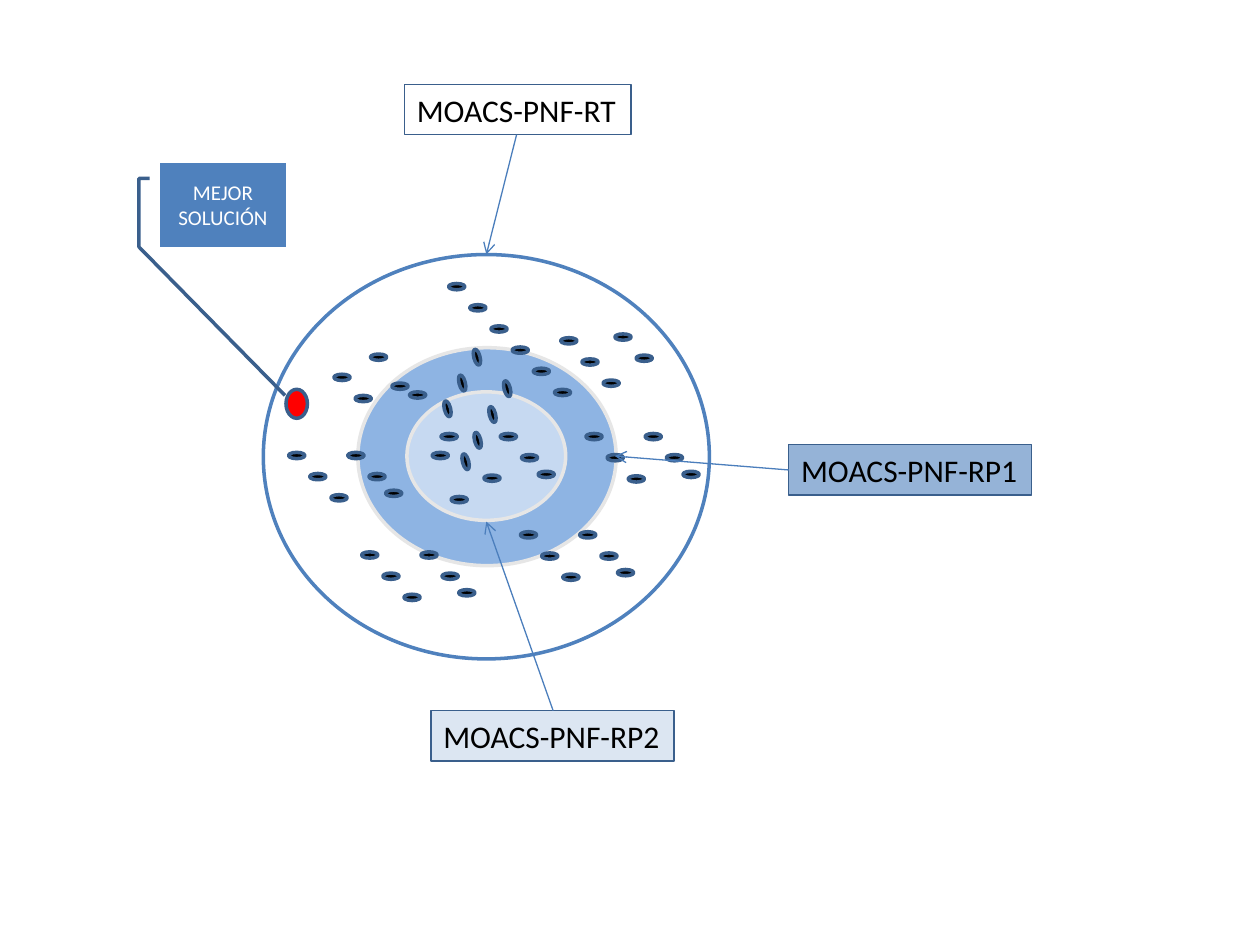
from dataclasses import dataclass
from typing import Optional

import pptx
import pptx.dml.color
import pptx.enum.shapes
import pptx.enum.text
import pptx.oxml.ns
import pptx.util
from lxml import etree
from pptx.util import Inches

SHAPES = pptx.enum.shapes.MSO_SHAPE
COLORS = {
    "white": "FFFFFF", "black": "000000", "red": "FF0000",
    "blue": "4F81BD", "outline": "3A5F8C", "arrow": "4B7EBC",
    "ring": "8EB4E3", "core": "C6D9F1", "ring edge": "E6E6E6",
    "RP1": "95B3D7", "RP2": "DCE6F2",
}
FONT = "Calibri"
ANT_SIZE = (0.13, 0.05)
TILT = 75.2


@dataclass
class Figure:
    left: float
    top: float
    width: float
    height: float
    fill: Optional[str]
    line: str = "outline"
    weight: float = 2
    kind: SHAPES = SHAPES.OVAL
    rotation: float = 0


@dataclass
class Trail:
    """A straight row of ants: first position, count and step."""
    left: float
    top: float
    count: int = 1
    step: tuple[float, float] = (0.168, 0.168)
    rotation: float = 0


@dataclass
class Label:
    text: str
    figure: Figure


@dataclass
class Arrow:
    start: tuple[float, float]
    end: tuple[float, float]


REGIONS = [
    Figure(2.09, 2.02, 3.54, 3.21, "white", "blue"),
    Figure(2.84, 2.76, 2.05, 1.73, "ring", "ring edge"),
    Figure(3.23, 3.11, 1.26, 1.02, "core", "ring edge"),
]
BEST_SOLUTION = Figure(2.27, 3.09, 0.17, 0.23, "red")
DOWN_LEFT = (-0.117, 0.205)
TRAILS = [
    Trail(3.56, 2.25, 6),
    Trail(4.45, 2.68, 3),
    Trail(3.72, 2.81, 3, DOWN_LEFT, TILT),
    Trail(3.96, 3.06, 3, DOWN_LEFT, TILT),
    Trail(3.63, 3.64, rotation=TILT),
    Trail(4.88, 2.65, 2),
    Trail(3.5, 3.44),
    Trail(3.43, 3.59),
    Trail(3.58, 3.94),
    Trail(3.84, 3.77),
    Trail(3.97, 3.44, 2),
    Trail(4.27, 3.74),
    Trail(2.65, 2.97, 2),
    Trail(2.94, 2.81),
    Trail(3.11, 3.04),
    Trail(3.25, 3.11),
]
COLONIES = [(4.65, 3.44), (4.13, 4.22), (2.87, 4.38), (2.29, 3.59)]
CALLOUT = Label("MEJOR SOLUCIÓN", Figure(
    1.27, 1.29, 1, 0.67, "blue", kind=SHAPES.LINE_CALLOUT_3_NO_BORDER))
CALLOUT_POINTS = [0.188, -0.083, 0.188, -0.167, 1, -0.167, 2.758, 0.992]


def region_label(text: str, left: float, top: float, width: float,
                 fill: Optional[str]) -> Label:
    return Label(text, Figure(left, top, width, 0.4, fill, weight=0.75,
                              kind=SHAPES.RECTANGLE))


LABELS = [
    region_label("MOACS-PNF-RT", 3.21, 0.67, 1.8, None),
    region_label("MOACS-PNF-RP1", 6.26, 3.53, 1.93, "RP1"),
    region_label("MOACS-PNF-RP2", 3.42, 5.64, 1.93, "RP2"),
]
ARROWS = [
    Arrow((6.26, 3.73), (4.88, 3.62)),
    Arrow((4.39, 5.64), (3.86, 4.14)),
    Arrow((4.1, 1.07), (3.86, 2.02)),
]


def color(name: str) -> pptx.dml.color.RGBColor:
    return pptx.dml.color.RGBColor.from_string(COLORS[name])


def draw_figure(slide, figure: Figure):
    shape = slide.shapes.add_shape(
        figure.kind, Inches(figure.left), Inches(figure.top),
        Inches(figure.width), Inches(figure.height))
    shape.shadow.inherit = False
    shape.rotation = figure.rotation
    if figure.fill:
        shape.fill.solid()
        shape.fill.fore_color.rgb = color(figure.fill)
    else:
        shape.fill.background()
    shape.line.color.rgb = color(figure.line)
    shape.line.width = pptx.util.Pt(figure.weight)
    return shape


def draw_trail(slide, trail: Trail) -> None:
    for index in range(trail.count):
        draw_figure(slide, Figure(
            trail.left + index * trail.step[0],
            trail.top + index * trail.step[1],
            *ANT_SIZE, "black", rotation=trail.rotation))


def draw_colony(slide, left: float, top: float) -> None:
    """Draw six ants: a row of three, a row of two and a last one close by."""
    draw_trail(slide, Trail(left, top, 3))
    draw_trail(slide, Trail(left + 0.47, top, 2))
    draw_trail(slide, Trail(left + 0.77, top + 0.3))


def write_text(shape, text: str, size: float, font_color: str,
               alignment) -> None:
    para = shape.text_frame.paragraphs[0]
    para.text = text
    para.alignment = alignment
    para.font.name = FONT
    para.font.size = pptx.util.Pt(size)
    para.font.color.rgb = color(font_color)


def draw_callout(slide) -> None:
    shape = draw_figure(slide, CALLOUT.figure)
    for index, value in enumerate(CALLOUT_POINTS):
        shape.adjustments[index] = value
    shape.text_frame.word_wrap = True
    write_text(shape, CALLOUT.text, 12, "white",
               pptx.enum.text.PP_ALIGN.CENTER)


def draw_label(slide, label: Label) -> None:
    shape = draw_figure(slide, label.figure)
    frame = shape.text_frame
    frame.word_wrap = False
    frame.auto_size = pptx.enum.text.MSO_AUTO_SIZE.SHAPE_TO_FIT_TEXT
    frame.vertical_anchor = pptx.enum.text.MSO_ANCHOR.TOP
    write_text(shape, label.text, 18, "black", pptx.enum.text.PP_ALIGN.LEFT)


def draw_arrow(slide, arrow: Arrow) -> None:
    connector = slide.shapes.add_connector(
        pptx.enum.shapes.MSO_CONNECTOR.STRAIGHT,
        *map(Inches, arrow.start + arrow.end))
    connector.line.color.rgb = color("arrow")
    connector.line.width = pptx.util.Pt(0.75)
    qualified = pptx.oxml.ns.qn
    etree.SubElement(connector.line._get_or_add_ln(), qualified("a:tailEnd"),
                     type="arrow")
    etree.SubElement(connector._element.spPr, qualified("a:effectLst"))


def main() -> None:
    deck = pptx.Presentation()
    deck.slide_width, deck.slide_height = Inches(10), Inches(7.5)
    slide = deck.slides.add_slide(deck.slide_layouts[6])
    for region in REGIONS:
        draw_figure(slide, region)
    for trail in TRAILS:
        draw_trail(slide, trail)
    for left, top in COLONIES:
        draw_colony(slide, left, top)
    draw_figure(slide, BEST_SOLUTION)
    draw_callout(slide)
    for label in LABELS:
        draw_label(slide, label)
    for arrow in ARROWS:
        draw_arrow(slide, arrow)
    deck.save("out.pptx")


if __name__ == "__main__":
    main()
